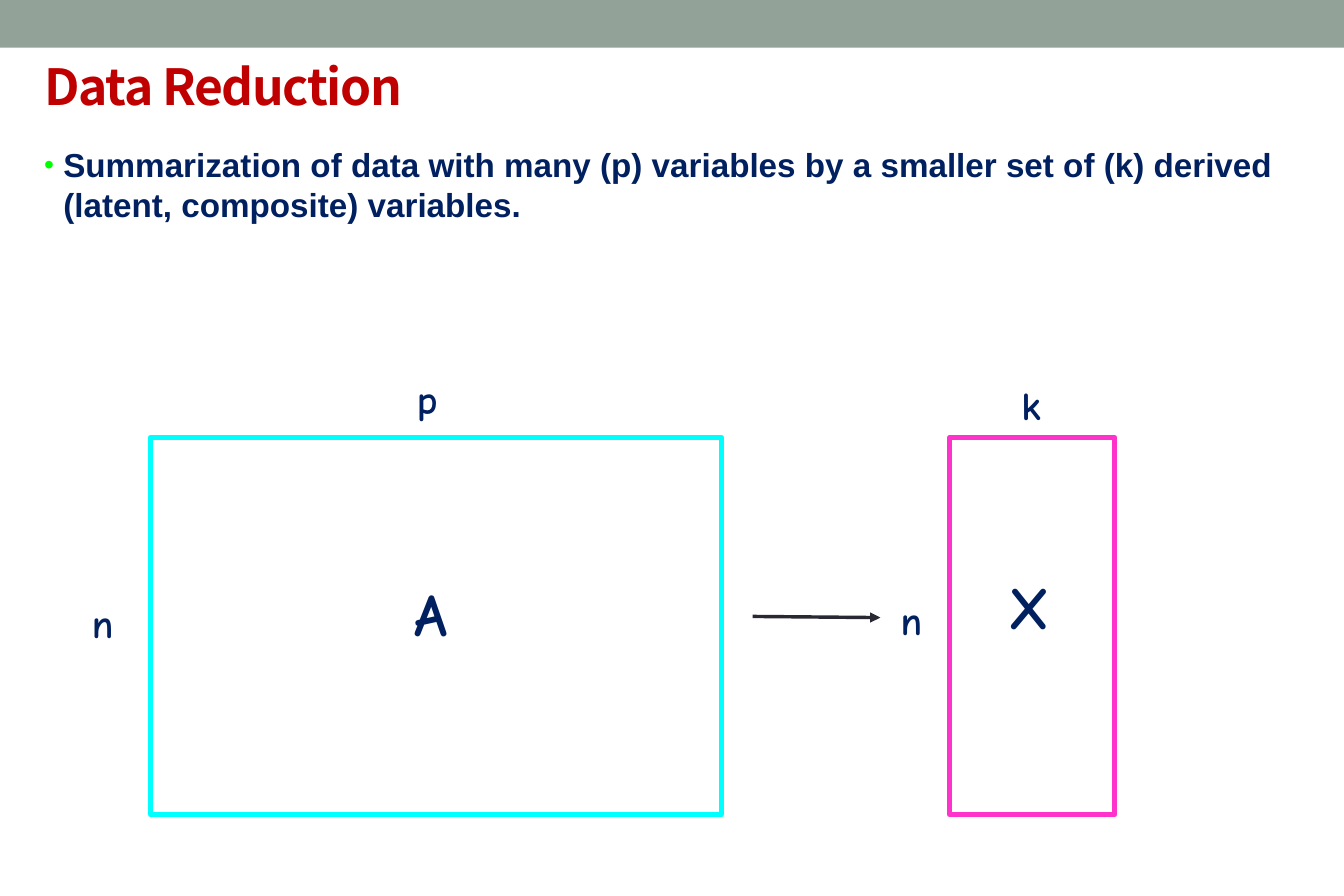
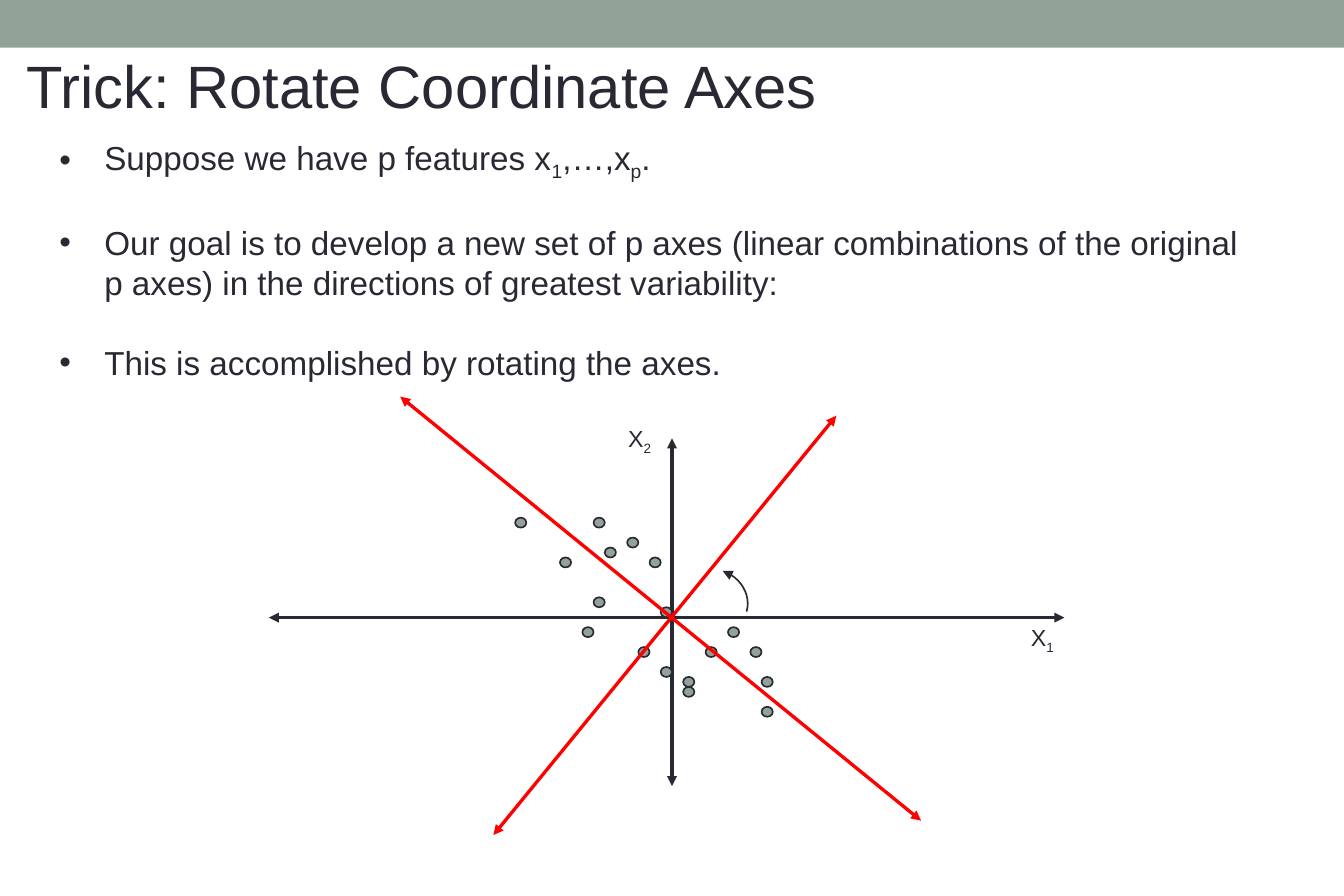
"""Build two slides on data reduction and rotated coordinate axes."""
from lxml.etree import SubElement
from pptx import Presentation
from pptx.dml.color import RGBColor
from pptx.enum.shapes import MSO_CONNECTOR, MSO_SHAPE
from pptx.enum.text import MSO_ANCHOR, MSO_AUTO_SIZE
from pptx.oxml.ns import qn
from pptx.util import Pt

W, H = 810, 540
COLORS = {
    "band": "93A299", "ink": "292934", "navy": "002060", "title": "C00000",
    "bullet": "00FF00", "cyan": "00FFFF", "pink": "FF33CC", "red": "FF0000",
}
SUB = -25000
SLIM = (5.76, 2.88, 5.76, 2.88)
BOXED = (7.2, 3.6, 7.2, 3.6)

SUMMARY = [[("Summarization of data with many (p) variables by a smaller set of "
             "(k) derived (latent, composite) variables.", 0)]]
MATRICES = [
    ("cyan", (90.72, 263.52, 344.16, 227.52),
     [("n", 24, 48.24, 357.12), ("p", 24, 244.08, 222.48), ("A", 36, 242.64, 344.16)]),
    ("pink", (572.4, 263.52, 99.36, 227.52),
     [("n", 24, 535.68, 355.68), ("k", 24, 608.4, 226.08), ("X", 36, 600.48, 339.84)]),
]
LABEL_SIZE = {24: (27.4, 36.7), 36: (41, 51.1)}
REDUCTION_ARROW = (453.6, 371.52, 530.64, 372.24)

STEPS = [
    [("Suppose we have p features x", 0), ("1", SUB), (",…,x", 0), ("p", SUB), (".", 0)],
    [("Our goal is to develop a new set of p axes (linear combinations of the "
      "original p axes) in the directions of greatest variability:", 0)],
    [("This is accomplished by rotating the axes.", 0)],
]
AXES = [(405, 473.76, 405, 264.24), (162, 372.24, 641.52, 372.24)]
ROTATED_AXES = [(297.36, 503.28, 504, 250.56), (241.2, 239.04, 555.12, 494.64)]
AXIS_LABELS = [("1", 614.16, 372.24), ("2", 371.52, 252)]
DOT_W, DOT_H = 6.75, 6
DOTS = [(46, 52), (50, 56), (53, 60), (52, 63), (54, 55), (56, 54), (58, 56), (59, 61),
        (57, 65), (63, 65), (61, 68), (59, 67), (61, 69), (65, 63), (67, 65), (68, 68),
        (68, 71), (53, 52)]
TURN = [(435.6, 344.16), (446.4, 347.76), (452.88, 358.56), (450, 368.64)]
TURN_STEPS = 12


def rgb(name):
    return RGBColor.from_string(COLORS[name])


def style_line(sp, color, width, head=False, tail=False):
    sp.line.color.rgb = rgb(color)
    sp.line.width = Pt(width)
    ln = sp.element.spPr.find(qn("a:ln"))
    for tag, wanted in (("a:headEnd", head), ("a:tailEnd", tail)):
        if wanted:
            SubElement(ln, qn(tag), type="triangle")


def add_box(s, kind, box, fill=None, line=None, width=1):
    sp = s.shapes.add_shape(kind, *map(Pt, box))
    sp.shadow.inherit = False
    if fill:
        sp.fill.solid()
        sp.fill.fore_color.rgb = rgb(fill)
    else:
        sp.fill.background()
    if line:
        style_line(sp, line, width)
    else:
        sp.line.fill.background()


def add_arrow(s, ends, color, width, head=True):
    sp = s.shapes.add_connector(MSO_CONNECTOR.STRAIGHT, *map(Pt, ends))
    style_line(sp, color, width, head, True)
    SubElement(sp.element.spPr, qn("a:effectLst"))


def add_bullet(p, indent, color, percent):
    pPr = p._p.get_or_add_pPr()
    pPr.set("marL", str(Pt(indent)))
    pPr.set("indent", str(-Pt(indent)))
    SubElement(SubElement(pPr, qn("a:buClr")), qn("a:srgbClr"), val=COLORS[color])
    SubElement(pPr, qn("a:buSzPct"), val=str(percent * 1000))
    SubElement(pPr, qn("a:buFont"), typeface="Arial")
    SubElement(pPr, qn("a:buChar"), char="•")


def add_text(s, box, paragraphs, size, color, font="Arial", bold=False, insets=BOXED,
             wrap=True, grow=True, anchor=MSO_ANCHOR.TOP, before=0, gap=0, bullet=None,
             spacing=0):
    tf = s.shapes.add_textbox(*map(Pt, box)).text_frame
    tf.margin_left, tf.margin_top, tf.margin_right, tf.margin_bottom = map(Pt, insets)
    tf.word_wrap = wrap
    tf.auto_size = MSO_AUTO_SIZE.SHAPE_TO_FIT_TEXT if grow else MSO_AUTO_SIZE.NONE
    tf.vertical_anchor = anchor
    for i, runs in enumerate(paragraphs):
        p = tf.add_paragraph() if i else tf.paragraphs[0]
        p.space_before = Pt(gap if i else before)
        if bullet:
            add_bullet(p, *bullet)
        for text, baseline in runs:
            r = p.add_run()
            r.text = text
            r.font.name, r.font.size, r.font.bold = font, Pt(size), bold
            r.font.color.rgb = rgb(color)
            rPr = r._r.get_or_add_rPr()
            if baseline:
                rPr.set("baseline", str(baseline))
            if spacing:
                rPr.set("spc", str(spacing))


def add_turn(s):
    points = []
    for i in range(TURN_STEPS + 1):
        t = i / TURN_STEPS
        weights = ((1 - t) ** 3, 3 * t * (1 - t) ** 2, 3 * t * t * (1 - t), t ** 3)
        points.append([Pt(sum(w * c for w, c in zip(weights, axis))) for axis in zip(*TURN)])
    builder = s.shapes.build_freeform(*points[0])
    builder.add_line_segments(points[1:], close=False)
    sp = builder.convert_to_shape()
    sp.shadow.inherit = False
    sp.fill.background()
    style_line(sp, "ink", 1, head=True)


def new_slide(prs):
    s = prs.slides.add_slide(prs.slide_layouts[6])
    add_box(s, MSO_SHAPE.RECTANGLE, (0, 0, W, 28.8), fill="band")
    return s


def reduction_slide(prs):
    s = new_slide(prs)
    add_text(s, (20.88, 30.24, 728.64, 42.48), [[("Data Reduction", 0)]], 30, "title",
             "Noto Sans CJK TC", True, SLIM, grow=False, anchor=MSO_ANCHOR.MIDDLE,
             spacing=-80)
    add_text(s, (20.88, 84.24, 766.08, 64.08), SUMMARY, 20, "navy", bold=True,
             insets=SLIM, grow=False, before=2, bullet=(11.52, "bullet", 85))
    add_arrow(s, REDUCTION_ARROW, "ink", 2.08, head=False)
    for color, box, labels in MATRICES:
        add_box(s, MSO_SHAPE.RECTANGLE, box, line=color, width=3)
        for text, size, x, y in labels:
            add_text(s, (x, y, *LABEL_SIZE[size]), [[(text, 0)]], size, "navy",
                     "Comic Neue", True, wrap=False)


def rotation_slide(prs):
    s = new_slide(prs)
    for ends in AXES:
        add_arrow(s, ends, "ink", 2)
    for index, x, y in AXIS_LABELS:
        add_text(s, (x, y, 47.52, 24.48), [[("X", 0), (index, SUB)]], 14, "ink")
    for col, row in DOTS:
        add_box(s, MSO_SHAPE.OVAL, (col * DOT_W, row * DOT_H, DOT_W, DOT_H), "band", "ink")
    add_turn(s)
    for ends in ROTATED_AXES:
        add_arrow(s, ends, "red", 2)
    add_text(s, (8.64, 25.92, 496.08, 51.12), [[("Trick: Rotate Coordinate Axes", 0)]],
             36, "ink", wrap=False)
    add_text(s, (28.8, 79.2, 738.72, 169.92), STEPS, 20, "ink", gap=24,
             bullet=(27, "ink", 100))


def main():
    prs = Presentation()
    prs.slide_width, prs.slide_height = Pt(W), Pt(H)
    reduction_slide(prs)
    rotation_slide(prs)
    prs.save("out.pptx")


if __name__ == "__main__":
    main()
